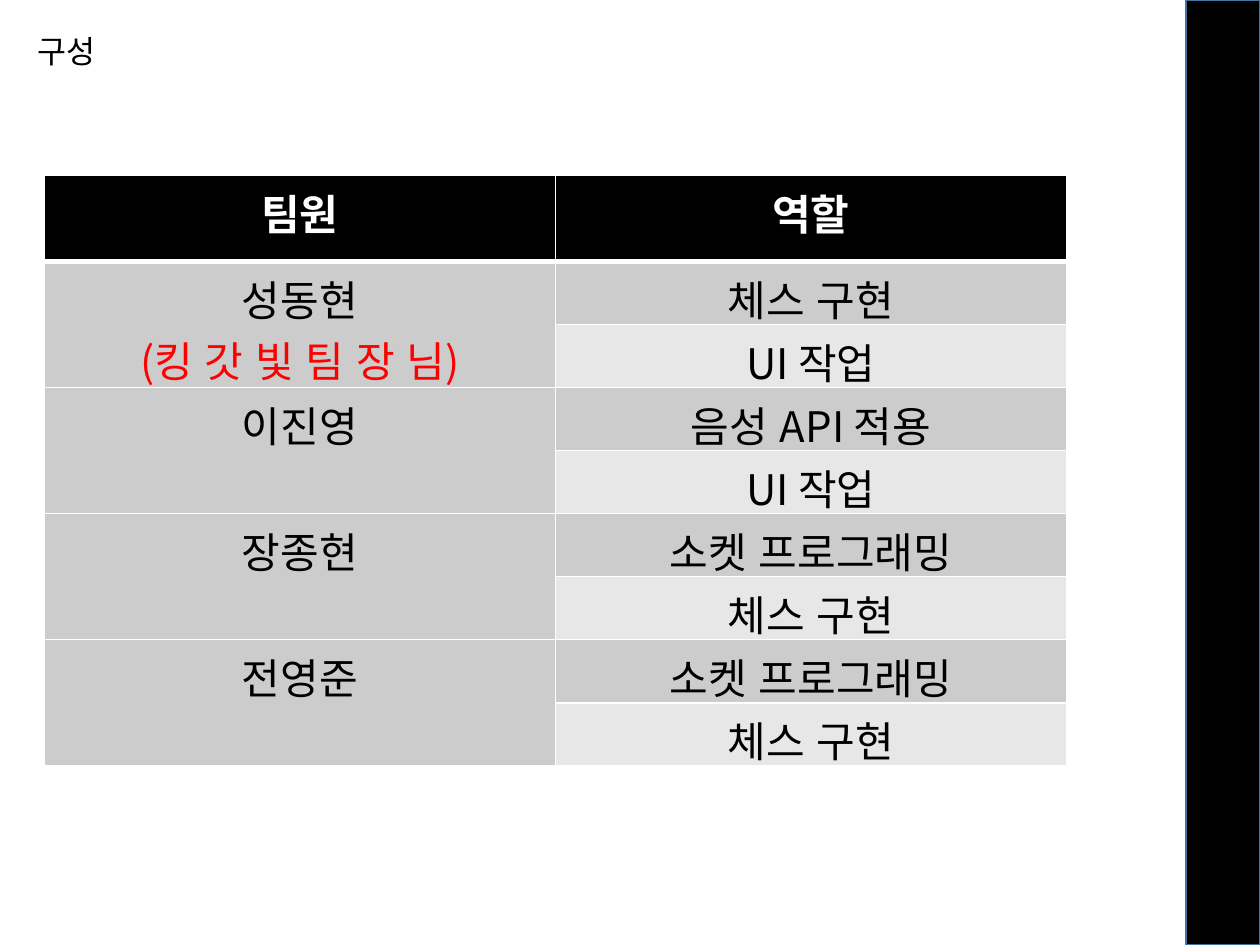
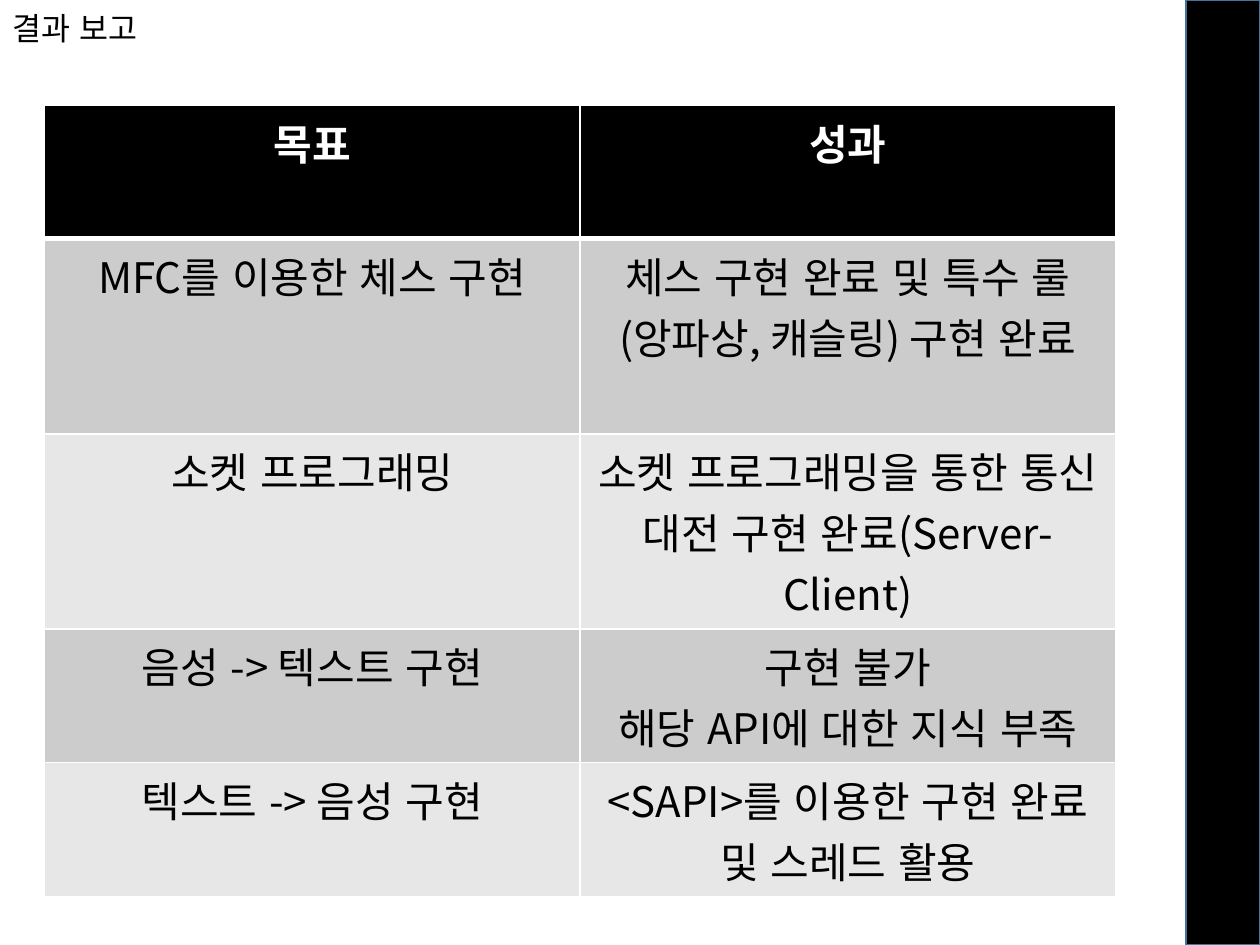
from lxml import etree
from pptx import Presentation
from pptx.dml.color import RGBColor
from pptx.enum import lang, shapes, text
from pptx.oxml.ns import qn
from pptx.util import Pt

SLIDE_W, SLIDE_H = 720, 540
BAND_W = 42.5
FONT = "Noto Sans CJK KR"
BLACK, WHITE, RED = "000000", "FFFFFF", "FF0000"
BAND_EDGE = "43739E"
ROW_FILLS = ["E7E7E7", "CCCCCC"]

MEMBERS = [
    ("성동현\n(킹 갓 빛 팀 장 님)", ["체스 구현", "UI 작업"]),
    ("이진영", ["음성 API 적용", "UI 작업"]),
    ("장종현", ["소켓 프로그래밍", "체스 구현"]),
    ("전영준", ["소켓 프로그래밍", "체스 구현"]),
]
RESULTS = [
    ("목표", "성과"),
    ("MFC를 이용한 체스 구현", "체스 구현 완료 및 특수 룰(앙파상, 캐슬링) 구현 완료"),
    ("소켓 프로그래밍", "소켓 프로그래밍을 통한 통신 대전 구현 완료(Server-Client)"),
    ("음성 -> 텍스트 구현", "구현 불가\n해당 API에 대한 지식 부족"),
    ("텍스트 -> 음성 구현", "<SAPI>를 이용한 구현 완료\n및 스레드 활용"),
]
RESULT_HEIGHTS = [76, 111.5, 111.5, 76.5, 76.5]


def rgb(value):
    return RGBColor.from_string(value)


def paint(target, color):
    target.fill.solid()
    target.fill.fore_color.rgb = rgb(color)


def style_run(r, size, color, bold=False):
    r.font.size = Pt(size)
    r.font.bold = bold
    r.font.color.rgb = rgb(color)
    r.font.name = FONT
    r.font.language_id = lang.MSO_LANGUAGE_ID.KOREAN
    props = r.font._element
    props.set("kern", "0")
    etree.SubElement(props, qn("a:ea")).set("typeface", FONT)


def add_title(s, title, left, top):
    sp = s.shapes.add_textbox(Pt(left), Pt(top), Pt(181.5), Pt(29))
    tf = sp.text_frame
    tf.word_wrap = True
    tf.auto_size = text.MSO_AUTO_SIZE.SHAPE_TO_FIT_TEXT
    tf.text = title
    style_run(tf.paragraphs[0].runs[0], 18, BLACK)


def add_side_band(s):
    sp = s.shapes.add_shape(shapes.MSO_SHAPE.RECTANGLE, Pt(SLIDE_W - BAND_W), 0,
                            Pt(BAND_W), Pt(SLIDE_H))
    sp.shadow.inherit = False
    paint(sp, BLACK)
    sp.line.color.rgb = rgb(BAND_EDGE)
    sp.line.width = Pt(1)


def set_borders(cell, widths):
    """Draw white borders; widths are for left, right, top and bottom."""
    props = cell._tc.get_or_add_tcPr()
    for i, (side, width) in enumerate(zip("LRTB", widths)):
        ln = etree.Element(qn(f"a:ln{side}"), w=str(Pt(width)))
        fill = etree.SubElement(ln, qn("a:solidFill"))
        etree.SubElement(fill, qn("a:srgbClr"), val=WHITE)
        props.insert(i, ln)


def fill_cell(cell, content, row):
    header = row == 0
    paint(cell, BLACK if header else ROW_FILLS[row % 2])
    set_borders(cell, (1, 1, 3 if row == 1 else 1, 3 if header else 1))
    if not content:
        return
    cell.text = content
    for p in cell.text_frame.paragraphs:
        p.alignment = text.PP_ALIGN.CENTER
        for r in p.runs:
            style_run(r, 24, WHITE if header else BLACK, header)


def add_table(s, rows, box, row_heights, merge_pairs=False):
    """Two equal columns; merge_pairs joins the first column two rows at a time."""
    left, top, width, height = box
    frame = s.shapes.add_table(len(rows), 2, Pt(left), Pt(top), Pt(width), Pt(height))
    table = frame.table
    for row, row_height in zip(table.rows, row_heights):
        row.height = Pt(row_height)
    frame.height = Pt(height)
    if merge_pairs:
        for i in range(1, len(rows), 2):
            table.cell(i, 0).merge(table.cell(i + 1, 0))
    for i, row in enumerate(rows):
        for j, content in enumerate(row):
            fill_cell(table.cell(i, j), content, i)
    return table


def build_team(s):
    add_title(s, "구성", 14.4, 15)
    add_side_band(s)
    rows = [("팀원", "역할")]
    for member, roles in MEMBERS:
        rows += zip([member, ""], roles)
    heights = [49] + [33.8] * (len(rows) - 1)
    table = add_table(s, rows, (25.4, 100.4, 584, 337), heights, merge_pairs=True)
    leader_note = table.cell(1, 0).text_frame.paragraphs[1]
    leader_note.runs[0].font.color.rgb = rgb(RED)


def build_results(s):
    add_table(s, RESULTS, (25.4, 60.4, 612, sum(RESULT_HEIGHTS)), RESULT_HEIGHTS)
    add_title(s, "결과 보고", 0, 1.5)
    add_side_band(s)


def main():
    prs = Presentation()
    prs.slide_width, prs.slide_height = Pt(SLIDE_W), Pt(SLIDE_H)
    for build in (build_team, build_results):
        build(prs.slides.add_slide(prs.slide_layouts[6]))
    prs.save("out.pptx")


if __name__ == "__main__":
    main()
